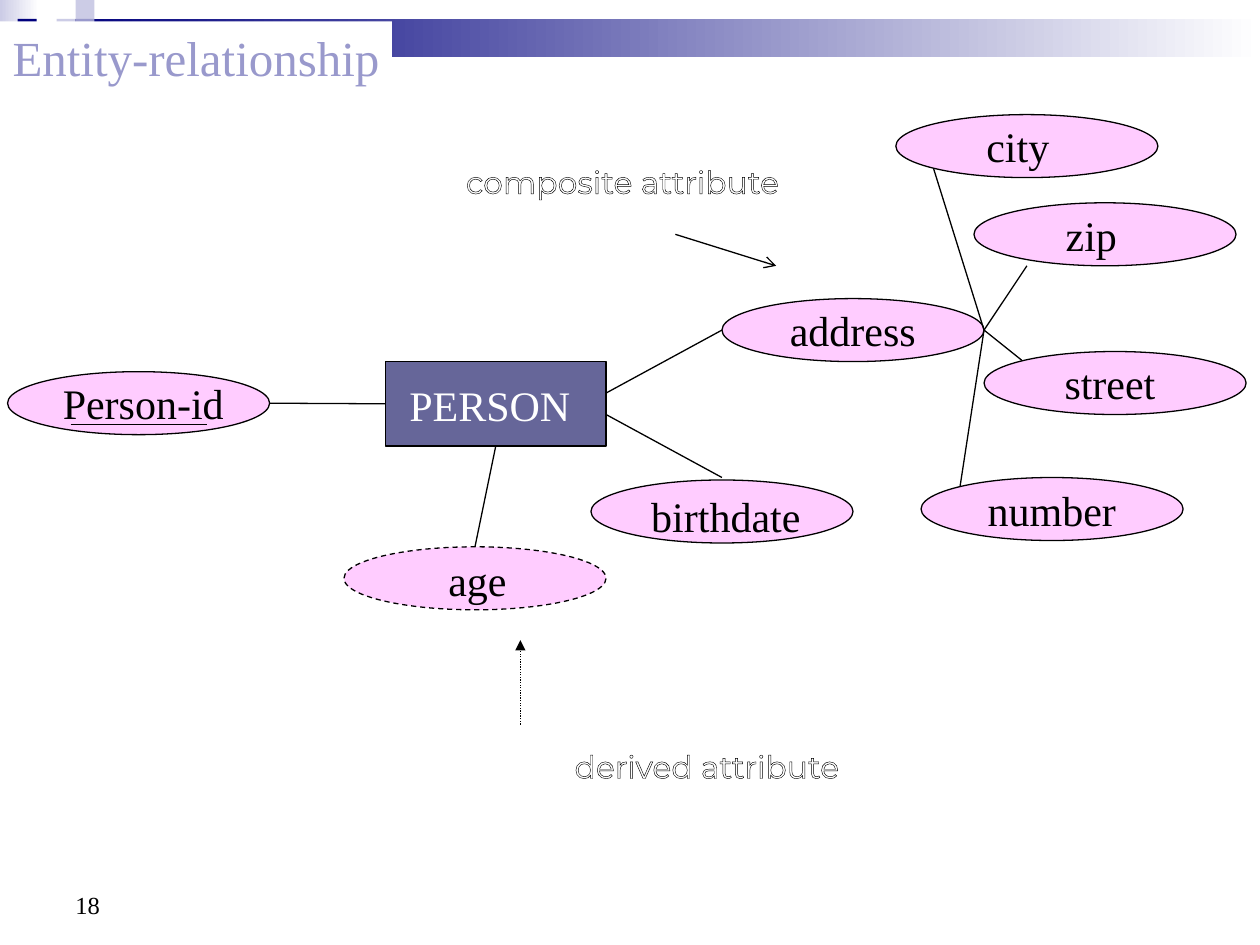
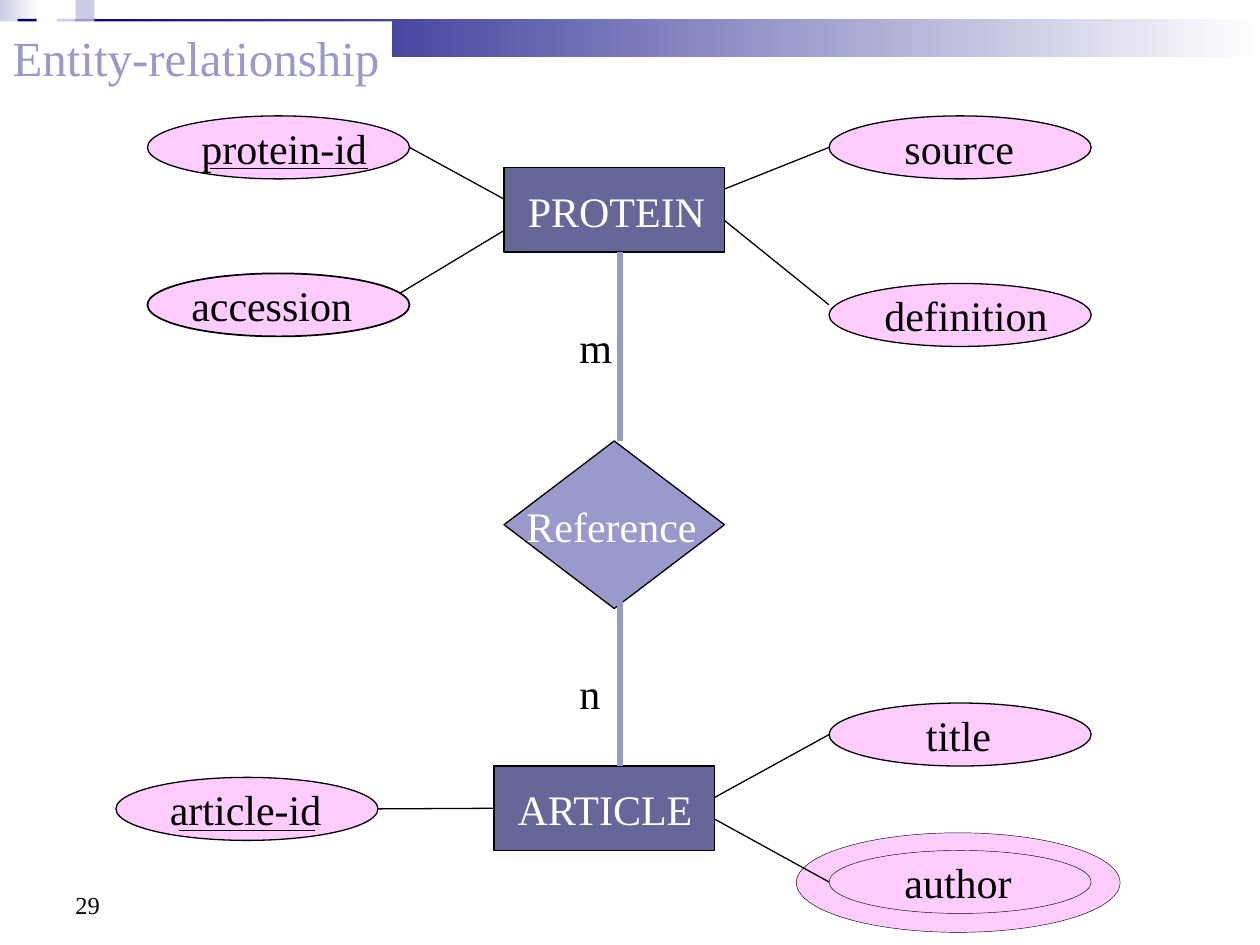
from dataclasses import dataclass

from pptx import Presentation
from pptx.dml.color import RGBColor
from pptx.enum.dml import MSO_LINE
from pptx.enum.shapes import MSO_CONNECTOR, MSO_SHAPE
from pptx.enum.text import MSO_ANCHOR, MSO_AUTO_SIZE, PP_ALIGN
from pptx.oxml.ns import qn
from pptx.util import Inches, Pt
from lxml import etree

RECT, OVAL, DIAMOND = MSO_SHAPE.RECTANGLE, MSO_SHAPE.OVAL, MSO_SHAPE.DIAMOND
STRAIGHT = MSO_CONNECTOR.STRAIGHT
DASH, DOT = MSO_LINE.DASH, MSO_LINE.ROUND_DOT
TOP, BOTTOM = MSO_ANCHOR.TOP, MSO_ANCHOR.BOTTOM
LEFT, CENTER = PP_ALIGN.LEFT, PP_ALIGN.CENTER
FIT, FIXED = MSO_AUTO_SIZE.SHAPE_TO_FIT_TEXT, MSO_AUTO_SIZE.NONE
SIDE_LEFT, SIDE_BOTTOM = 1, 2
TITLE_ONLY = 5


@dataclass(frozen=True)
class Theme:
    black: str = "000000"
    white: str = "FFFFFF"
    navy: str = "00007D"
    lavender: str = "9999CC"
    pale: str = "CCCCE6"
    entity: str = "666699"
    attribute: str = "FFCCFF"
    font: str = "Times New Roman"
    note_font: str = "Montserrat"
    title_size: int = 28
    label_size: int = 24
    note_size: int = 18
    number_size: int = 14
    thin: float = 0.75
    hairline: float = 0.25
    thick: float = 3


THEME = Theme()
ATTR_W, ATTR_H = 2.08, 0.5
ENTITY_W, ENTITY_H = 1.75, 0.67


def rgb(value):
    return RGBColor.from_string(value)


def inches(*values):
    return [Inches(v) for v in values]


def set_all(target, values):
    for name, value in values.items():
        setattr(target, name, value)


def write(shape, text, size, color, font=THEME.font, align=LEFT, **frame):
    """Put one run of text in a shape; frame overrides text frame settings."""
    tf = shape.text_frame
    set_all(tf, {"word_wrap": False, "auto_size": FIT, "vertical_anchor": TOP,
                 "margin_left": Inches(0.1), "margin_right": Inches(0.1),
                 "margin_top": Inches(0.05), "margin_bottom": Inches(0.05),
                 **frame})
    p = tf.paragraphs[0]
    p.alignment = align
    r = p.add_run()
    r.text = text
    set_all(r.font, {"name": font, "size": Pt(size)})
    r.font.color.rgb = rgb(color)
    return r


def add_figure(s, kind, box, fill, line=None, dash=None):
    """Add a preset shape; a pair of fill colours makes a gradient."""
    sp = s.shapes.add_shape(kind, *inches(*box))
    sp.shadow.inherit = False
    if isinstance(fill, tuple):
        sp.fill.gradient()
        sp.fill.gradient_angle = 0
        for stop, color in zip(sp.fill.gradient_stops, fill):
            stop.color.rgb = rgb(color)
    else:
        sp.fill.solid()
        sp.fill.fore_color.rgb = rgb(fill)
    if line is None:
        sp.line.fill.background()
    else:
        sp.line.color.rgb = rgb(THEME.black)
        set_all(sp.line, {"width": Pt(line), "dash_style": dash})
    return sp


def add_label(s, text, x, y, w, color=THEME.black):
    sp = s.shapes.add_textbox(*inches(x, y, w, 0.5))
    write(sp, text, THEME.label_size, color, margin_right=0)


def add_note(s, text, x, y):
    """Add outlined caption text."""
    sp = s.shapes.add_textbox(*inches(x, y, 2.98, 0.34))
    r = write(sp, text, THEME.note_size, THEME.white, THEME.note_font, CENTER,
              auto_size=FIXED)
    ln = etree.Element(qn("a:ln"), w=str(Pt(THEME.thin)))
    fill = etree.SubElement(ln, qn("a:solidFill"))
    etree.SubElement(fill, qn("a:srgbClr"), val=THEME.black)
    r.font._element.insert(0, ln)


def add_line(s, start, end, color=THEME.black, width=THEME.thin, dash=None, head=None):
    c = s.shapes.add_connector(STRAIGHT, *inches(*start, *end))
    c.line.color.rgb = rgb(color)
    set_all(c.line, {"width": Pt(width), "dash_style": dash})
    if head:
        etree.SubElement(c.line._ln, qn("a:tailEnd"), type=head)
    etree.SubElement(c.element.spPr, qn("a:effectLst"))
    return c


def add_attribute(s, text, x, y, dx, w, dy=0, key=0, line=THEME.thin, dash=None):
    """Add an attribute ellipse; dx, dy and w place its label, key is the
    length of the rule under a key attribute."""
    add_figure(s, OVAL, (x, y, ATTR_W, ATTR_H), THEME.attribute, line, dash)
    add_label(s, text, x + dx, y + dy, w)
    if key:
        add_line(s, (x + 0.5, y + 0.42), (x + 0.5 + key, y + 0.42))


def add_entity(s, text, x, y, w):
    box = add_figure(s, RECT, (x, y, ENTITY_W, ENTITY_H), THEME.entity, THEME.thin)
    add_label(s, text, x + 0.09, y + 0.09, w, THEME.white)
    return box


def add_band(s):
    tile = 0.15
    add_figure(s, RECT, (0, 0, 0.31, 0.58), (THEME.pale, THEME.white))
    add_figure(s, RECT, (0.45, tile, 9.55, 0.3), (THEME.navy, THEME.white))
    for x, y, color in ((0.45, tile, THEME.pale), (0.6, 0, THEME.pale),
                        (0.6, tile, THEME.lavender), (0.14, tile, THEME.navy)):
        add_figure(s, RECT, (x, y, tile, tile), color)


def start_slide(prs, number):
    s = prs.slides.add_slide(prs.slide_layouts[TITLE_ONLY])
    add_band(s)
    title = s.shapes.title
    title.element.getparent().append(title.element)  # in front of the band
    set_all(title, dict(zip(("left", "top", "width", "height"),
                            inches(0, 0.17, 3.11, 0.57))))
    title.fill.solid()
    title.fill.fore_color.rgb = rgb(THEME.white)
    write(title, "Entity-relationship", THEME.title_size, THEME.lavender,
          margin_right=0)
    sp = s.shapes.add_textbox(*inches(0.5, 6.83, 2.33, 0.52))
    write(sp, number, THEME.number_size, THEME.black, word_wrap=True,
          auto_size=FIXED, vertical_anchor=BOTTOM)
    return s


def build_person(prs):
    s = start_slide(prs, "18")
    add_attribute(s, "Person-id", 0.06, 2.95, 0.34, 1.48, key=1.08)
    add_attribute(s, "address", 5.73, 2.37, 0.44, 1.2)
    add_attribute(s, "city", 7.11, 0.91, 0.62, 0.7)
    add_attribute(s, "number", 7.31, 3.79, 0.43, 1.22, dy=0.01)
    add_attribute(s, "zip", 7.73, 1.61, 0.63, 0.6)
    add_attribute(s, "street", 7.81, 2.79, 0.54, 0.92)
    add_attribute(s, "birthdate", 4.69, 3.81, 0.38, 1.38, dy=0.03)
    add_attribute(s, "age", 2.73, 4.34, 0.73, 0.66, dy=0.01, dash=DASH)
    person = add_entity(s, "PERSON", 3.06, 2.87, 1.48)

    add_line(s, (3.06, 3.2), (2.14, 3.2)).begin_connect(person, SIDE_LEFT)
    add_line(s, (3.94, 3.54), (3.77, 4.34)).begin_connect(person, SIDE_BOTTOM)
    add_line(s, (4.81, 3.12), (5.73, 2.62))
    add_line(s, (4.81, 3.29), (5.73, 3.79))
    for part in ((8.15, 2.11), (7.41, 1.34), (8.11, 2.86), (7.62, 3.86)):
        add_line(s, (7.81, 2.62), part)

    add_note(s, "composite attribute", 3.45, 1.24)
    add_line(s, (5.36, 1.86), (6.16, 2.11), head="arrow")
    add_note(s, "derived attribute", 4.12, 5.88)
    add_line(s, (4.13, 5.75), (4.13, 5.08), dash=DOT, head="triangle")


def build_protein_article(prs):
    s = start_slide(prs, "29")
    add_figure(s, OVAL, (6.32, 6.61, 2.57, 0.79), THEME.attribute, THEME.hairline)
    add_figure(s, DIAMOND, (4, 3.5, ENTITY_W, 1.33), THEME.lavender, THEME.thin)
    add_label(s, "Reference", 4.08, 3.92, 1.55, THEME.white)

    add_attribute(s, "protein-id", 1.17, 0.92, 0.33, 1.51, key=1.25)
    add_attribute(s, "accession", 1.17, 2.17, 0.25, 1.47, line=1)
    add_attribute(s, "definition", 6.58, 2.25, 0.34, 1.49)
    add_attribute(s, "source", 6.58, 0.92, 0.5, 1.07)
    add_attribute(s, "article-id", 0.92, 6.17, 0.33, 1.4, key=1.08)
    add_attribute(s, "title", 6.58, 5.58, 0.67, 0.72)
    add_attribute(s, "author", 6.58, 6.75, 0.5, 1.05, line=THEME.hairline)
    add_entity(s, "PROTEIN", 4, 1.33, 1.61)
    article = add_entity(s, "ARTICLE", 3.92, 6.08, 1.6)

    for start, end in (((4, 1.58), (3.25, 1.17)), ((4, 1.83), (3.17, 2.33)),
                       ((5.75, 1.5), (6.58, 1.17)), ((5.75, 1.75), (6.58, 2.42)),
                       ((5.67, 6.33), (6.58, 5.83)), ((5.67, 6.5), (6.58, 7))):
        add_line(s, start, end)
    add_line(s, (3.92, 6.42), (3, 6.42)).begin_connect(article, SIDE_LEFT)
    for y1, y2, count, label_y, w in ((3.5, 2, "m", 2.5, 0.46),
                                      (4.75, 6.08, "n", 5.25, 0.36)):
        add_line(s, (4.92, y1), (4.92, y2), THEME.lavender, THEME.thick)
        add_label(s, count, 4.5, label_y, w)


def main():
    prs = Presentation()
    prs.slide_width, prs.slide_height = inches(10, 7.5)
    build_person(prs)
    build_protein_article(prs)
    prs.save("out.pptx")


if __name__ == "__main__":
    main()
